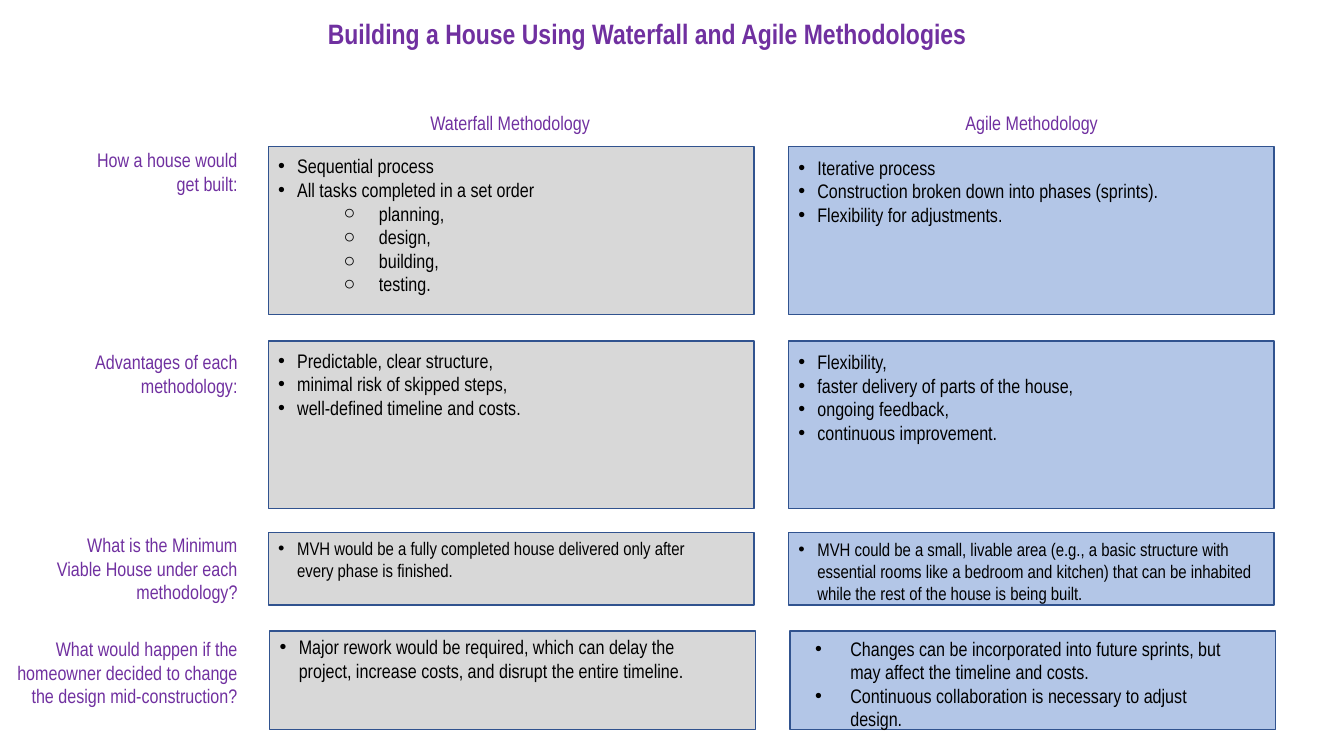
from lxml import etree
from pptx import Presentation
from pptx.dml.color import RGBColor
from pptx.enum.shapes import MSO_SHAPE
from pptx.enum.text import MSO_ANCHOR, MSO_AUTO_SIZE, PP_ALIGN
from pptx.oxml.ns import qn
from pptx.util import Cm, Pt

RECTANGLE = MSO_SHAPE.RECTANGLE
LEFT, CENTER, RIGHT = PP_ALIGN.LEFT, PP_ALIGN.CENTER, PP_ALIGN.RIGHT
TOP, NO_FIT = MSO_ANCHOR.TOP, MSO_AUTO_SIZE.NONE

COLORS = {"heading": "7030A0", "body": "000000", "waterfall": "D8D8D8",
          "agile": "B3C6E7", "border": "31538F"}

# Bullet styles: character, left margin and first-line indent in cm
TIGHT = ("•", 0.48, -0.56)
WIDE = ("•", 1.27, -0.89)
NESTED = ("○", 2.54, -0.89)

# Columns: fill name, left edge, downward shift of the text
COLUMNS = [("waterfall", 6.76, 0), ("agile", 19.87, 0.03)]
BOX_WIDTH = 12.24
LABEL_RIGHT = 6.24

ROWS = [
    {"label": "How a house would get built:", "label_top": 3.61, "label_width": 4.72,
     "top": 3.7, "height": 4.22, "text_top": 3.76, "widths": (11.68, 12.19), "size": 14,
     "cells": (
         [("Sequential process", TIGHT), ("All tasks completed in a set order", TIGHT),
          ("planning,", NESTED), ("design,", NESTED), ("building,", NESTED),
          ("testing.", NESTED)],
         [("Iterative process", TIGHT),
          ("Construction broken down into phases (sprints).", TIGHT),
          ("Flexibility for adjustments.", TIGHT)])},
    {"label": "Advantages of each methodology:", "label_top": 8.69, "label_width": 5.28,
     "top": 8.59, "height": 4.22, "text_top": 8.66, "widths": (11.68, 11.68), "size": 14,
     "cells": (
         [("Predictable, clear structure,", TIGHT),
          ("minimal risk of skipped steps,", TIGHT),
          ("well-defined timeline and costs.", TIGHT)],
         [("Flexibility,", TIGHT), ("faster delivery of parts of the house,", TIGHT),
          ("ongoing feedback,", TIGHT), ("continuous improvement.", TIGHT)])},
    {"label": "What is the Minimum Viable House under each methodology?",
     "label_top": 13.31, "label_width": 5.28,
     "top": 13.42, "height": 1.83, "text_top": 13.41, "widths": (11.68, 12.47), "size": 13,
     "cells": (
         [("MVH would be a fully completed house delivered only after every phase "
           "is finished.", TIGHT)],
         [("MVH could be a small, livable area (e.g., a basic structure with essential "
           "rooms like a bedroom and kitchen) that can be inhabited while the rest of "
           "the house is being built.", TIGHT)])},
    {"label": "What would happen if the homeowner decided to change the design "
              "mid-construction?", "label_top": 15.93, "label_width": 6.24,
     "top": 15.9, "height": 2.49, "text_top": 15.88, "widths": (11.68, 11.68), "size": 14,
     "shift": 0.04,
     "cells": (
         [("Major rework would be required, which can delay the project, increase "
           "costs, and disrupt the entire timeline.", TIGHT)],
         [("Changes can be incorporated into future sprints, but may affect the "
           "timeline and costs.", WIDE),
          ("Continuous collaboration is necessary to adjust design.", WIDE)])},
]


class Builder:
    """Holds the text style and the current page."""

    font = "Arial Narrow"
    frame_format = {"word_wrap": True, "auto_size": NO_FIT, "vertical_anchor": TOP,
                    "margin_left": Cm(0.25), "margin_right": Cm(0.25),
                    "margin_top": Cm(0.13), "margin_bottom": Cm(0.13)}

    def __init__(self, page):
        self.page = page

    def apply(self, target, values):
        for name, value in values.items():
            setattr(target, name, value)

    def fill_frame(self, frame, items, size, color, align, bold=False):
        self.apply(frame, self.frame_format)
        for index, (words, bullet) in enumerate(items):
            para = frame.add_paragraph() if index else frame.paragraphs[0]
            para.alignment = align
            span = para.add_run()
            span.text = words
            self.apply(span.font, {"name": self.font, "size": Pt(size), "bold": bold})
            span.font.color.rgb = RGBColor.from_string(COLORS[color])
            if bullet:
                self.bullet(para, *bullet)

    def bullet(self, para, character, margin, indent):
        if character == NESTED[0]:
            para.level = 1
        properties = para._p.get_or_add_pPr()
        properties.set("marL", str(Cm(margin)))
        properties.set("indent", str(Cm(indent)))
        etree.SubElement(properties, qn("a:buFont")).set("typeface", "Arial")
        etree.SubElement(properties, qn("a:buChar")).set("char", character)

    def title(self, words, left, top, width, height):
        box = self.page.shapes.title
        self.apply(box, {"left": Cm(left), "top": Cm(top),
                         "width": Cm(width), "height": Cm(height)})
        self.fill_frame(box.text_frame, [(words, None)], 20, "heading", CENTER, bold=True)

    def text(self, items, left, top, width, height, size=14, color="heading", align=CENTER):
        box = self.page.shapes.add_textbox(Cm(left), Cm(top), Cm(width), Cm(height))
        self.fill_frame(box.text_frame, items, size, color, align)

    def panel(self, fill, left, top, width, height):
        box = self.page.shapes.add_shape(RECTANGLE, Cm(left), Cm(top), Cm(width), Cm(height))
        box.shadow.inherit = False
        box.fill.solid()
        box.fill.fore_color.rgb = RGBColor.from_string(COLORS[fill])
        box.line.color.rgb = RGBColor.from_string(COLORS["border"])
        box.line.width = Pt(1)


def main():
    deck = Presentation()
    deck.slide_width, deck.slide_height = Cm(33.87), Cm(19.05)
    builder = Builder(deck.slides.add_slide(deck.slide_layouts[5]))

    # Title and column headings
    builder.title("Building a House Using Waterfall and Agile Methodologies",
                  2.34, 0.28, 27.94, 1.12)
    for heading, left in (("Waterfall Methodology", 8.53), ("Agile Methodology", 21.67)):
        builder.text([(heading, None)], left, 2.67, 8.66, 0.86)

    # Question labels with one panel per methodology
    for row in ROWS:
        builder.text([(row["label"], None)], LABEL_RIGHT - row["label_width"],
                     row["label_top"], row["label_width"], 2.06, align=RIGHT)
        for (fill, left, drop), items, width in zip(COLUMNS, row["cells"], row["widths"]):
            left += row.get("shift", 0)
            builder.panel(fill, left, row["top"], BOX_WIDTH, row["height"])
            builder.text(items, left, row["text_top"] + drop, width, row["height"],
                         row["size"], "body", LEFT)

    deck.save("out.pptx")


if __name__ == "__main__":
    main()
